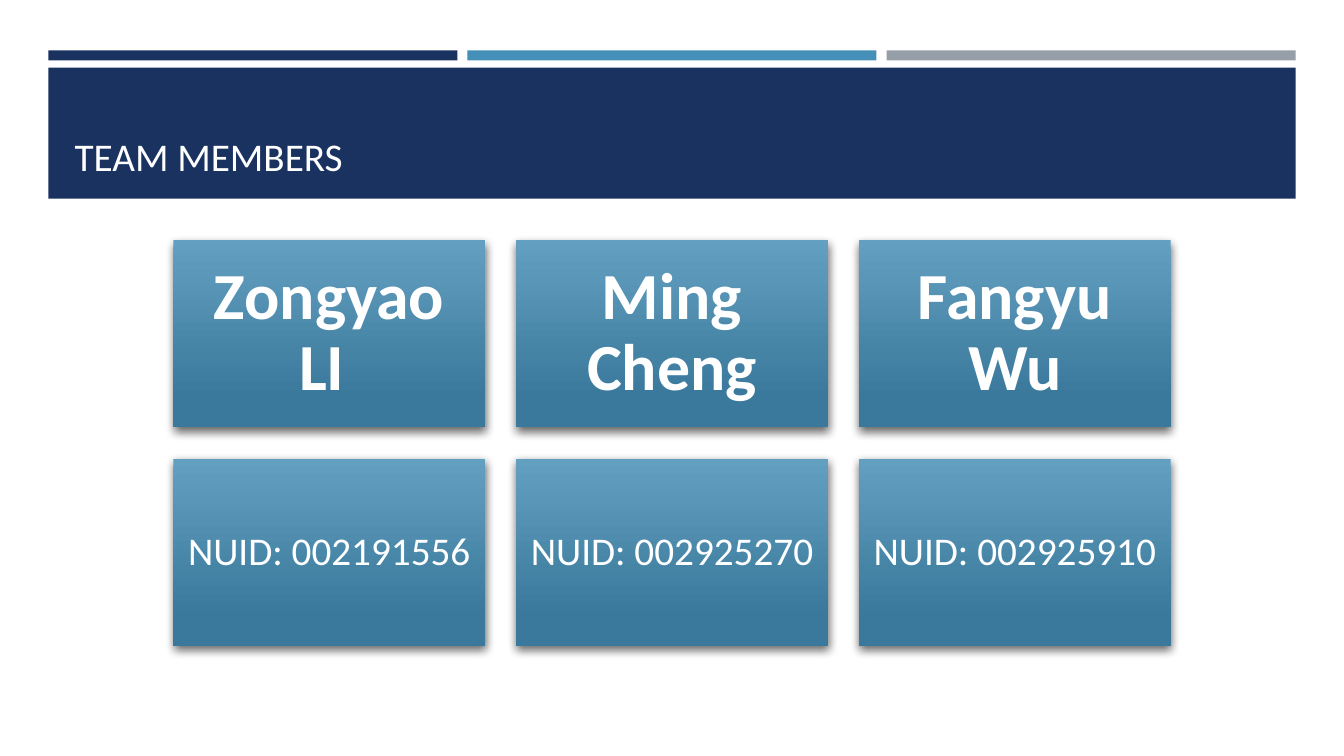
from lxml.etree import SubElement
from pptx import Presentation
from pptx.dml.color import RGBColor
from pptx.enum.shapes import MSO_SHAPE
from pptx.enum.text import MSO_ANCHOR, MSO_AUTO_SIZE, PP_ALIGN
from pptx.oxml.ns import qn
from pptx.util import Inches, Pt

NAVY = RGBColor(0x1A, 0x32, 0x60)
BLUE = RGBColor(0x45, 0x90, 0xB8)
GRAY = RGBColor(0x96, 0x9F, 0xA7)
LIGHT = RGBColor(0x63, 0x9F, 0xC1)
DEEP = RGBColor(0x3A, 0x79, 0x9B)
WHITE = RGBColor(0xFF, 0xFF, 0xFF)

TEAM = [
    ("Zongyao LI ", "NUID: 002191556"),
    ("Ming Cheng", "NUID: 002925270 "),
    ("Fangyu Wu", "NUID: 002925910"),
]


def write(shape, text, size=28, bold=False, align=PP_ALIGN.CENTER,
          anchor=MSO_ANCHOR.MIDDLE, inset=0.1, lead=0.9):
    frame = shape.text_frame
    frame.word_wrap = True
    frame.auto_size = MSO_AUTO_SIZE.NONE
    frame.vertical_anchor = anchor
    frame.margin_left = frame.margin_right = Inches(inset)
    frame.margin_top = frame.margin_bottom = Inches(inset)
    line = frame.paragraphs[0]
    line.alignment = align
    line.line_spacing = lead
    run = line.add_run()
    run.text = text
    font = run.font
    font.name = "Calibri"
    font.size = Pt(size)
    font.bold = bold
    font.color.rgb = WHITE


def block(slide, left, top, width, height, color=None):
    shape = slide.shapes.add_shape(
        MSO_SHAPE.RECTANGLE, Inches(left), Inches(top), Inches(width), Inches(height))
    shape.shadow.inherit = False
    shape.line.fill.background()
    if color is not None:
        shape.fill.solid()
        shape.fill.fore_color.rgb = color
    return shape


def card(slide, left, top, width, height, text, **style):
    shape = block(slide, left, top, width, height)
    fill = shape.fill
    fill.gradient()
    fill.gradient_angle = 270
    for stop, color, place in zip(fill.gradient_stops, (LIGHT, DEEP), (0, 0.84)):
        stop.color.rgb = color
        stop.position = place
    effect = shape._element.spPr.find(qn("a:effectLst"))
    shade = SubElement(effect, qn("a:outerShdw"), blurRad=str(Pt(7)),
                       dist=str(Pt(3)), dir="5040000", algn="tl", rotWithShape="0")
    tint = SubElement(shade, qn("a:srgbClr"), val="000000")
    SubElement(tint, qn("a:alpha"), val="60000")
    write(shape, text, **style)


def header(slide, left, top, width, height):
    gap = 0.1
    span = (width - 2 * gap) / 3
    for col, color in enumerate((NAVY, BLUE, GRAY)):
        block(slide, left + col * (span + gap), top, span, 0.1, color)
    block(slide, left, top + 0.17, width, height - 0.17, NAVY)
    title = slide.shapes.title
    title.left, title.top = Inches(left + 0.16), Inches(top + 0.27)
    title.width, title.height = Inches(width - 0.3), Inches(1.11)
    slide.shapes._spTree.append(title._element)
    write(title, "TEAM MEMBERS", align=PP_ALIGN.LEFT, anchor=MSO_ANCHOR.BOTTOM, lead=1)


def roster(slide, left, top, width, height):
    gap = 0.31
    wide = (width - 2 * gap) / 3
    tall = (height - gap) / 2
    for col, (name, number) in enumerate(TEAM):
        edge = left + col * (wide + gap)
        card(slide, edge, top, wide, tall, name, size=47, bold=True, inset=0.2)
        card(slide, edge, top + tall + gap, wide, tall, number, inset=0.12)


def main():
    deck = Presentation()
    deck.slide_width, deck.slide_height = Inches(13.33), Inches(7.5)
    slide = deck.slides.add_slide(deck.slide_layouts[5])
    header(slide, 0.48, 0.5, 12.37, 1.47)
    roster(slide, 1.72, 2.38, 9.89, 4.03)
    deck.save("out.pptx")


if __name__ == "__main__":
    main()
